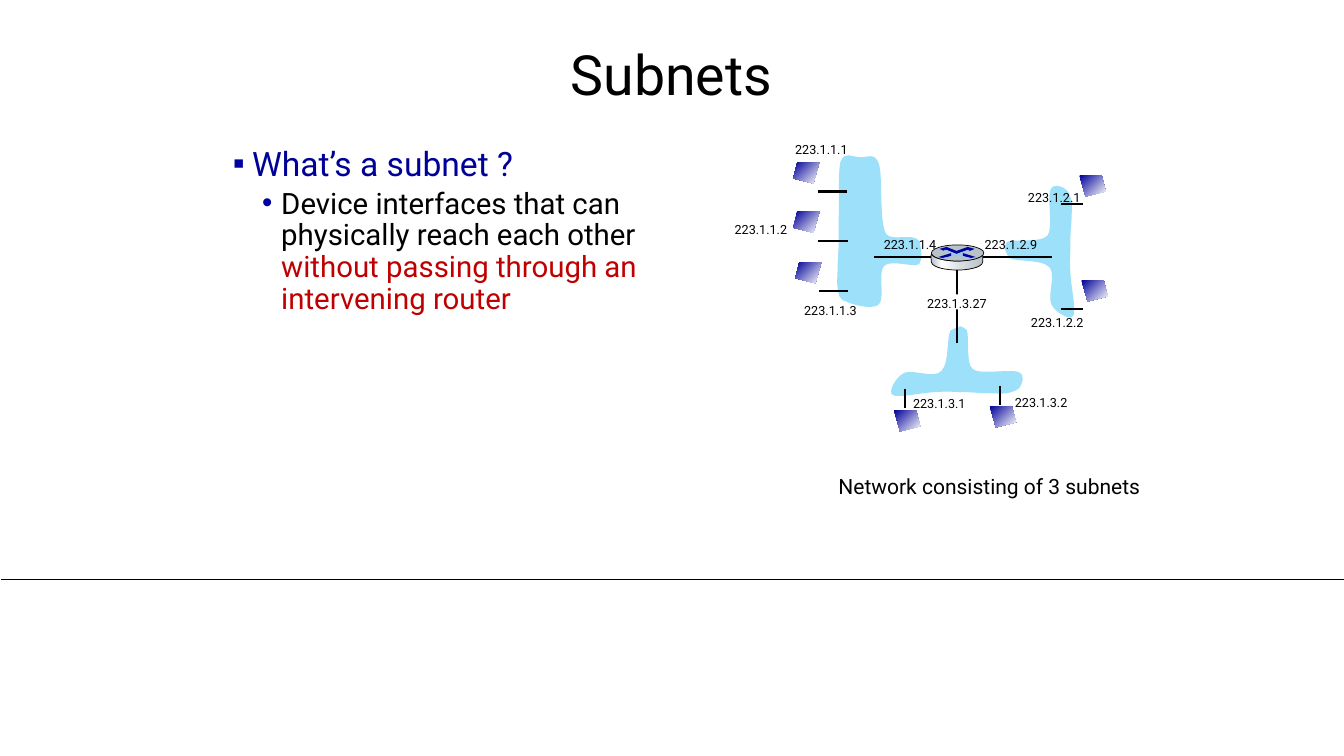
import dataclasses

import lxml.etree
import pptx
import pptx.dml.color
import pptx.enum.shapes
import pptx.enum.text
import pptx.oxml.ns
import pptx.util

qn = pptx.oxml.ns.qn
PX = 9144
ALIGN = pptx.enum.text.PP_ALIGN
SHAPE = pptx.enum.shapes.MSO_SHAPE


@dataclasses.dataclass(frozen=True)
class Theme:
    font: str = "Roboto"
    bullet_font: str = "Arial"
    ink: str = "000000"
    paper: str = "FFFFFF"
    cloud: str = "9CE0FA"
    heading: str = "000099"
    accent: str = "C00000"
    arrow: str = "0000A3"
    arrow_edge: str = "9DC3E6"
    metal: str = "B8C2C9"
    metal_mid: str = "D6DCE0"
    title: float = 39.6
    topic: float = 24
    detail: float = 21
    caption: float = 15
    address: float = 9
    wire: float = 1.5
    hairline: float = 0.5


def rgb(color):
    return pptx.dml.color.RGBColor.from_string(color)


def add_span(para, text, *, font, size, color):
    span = para.add_run()
    span.text = text
    span.font.name = font
    span.font.size = pptx.util.Pt(size)
    span.font.color.rgb = rgb(color)


def bend(shape, segments):
    lines = list(shape.element.iter(qn("a:lnTo")))
    for line, segment in zip(lines, segments):
        if len(segment) == 2:
            continue
        curve = lxml.etree.Element(qn("a:cubicBezTo"))
        for x, y in zip(segment[::2], segment[1::2]):
            lxml.etree.SubElement(curve, qn("a:pt"), x=str(x * PX - shape.left),
                                  y=str(y * PX - shape.top))
        line.getparent().replace(line, curve)


class Painter:
    def __init__(self, page, theme):
        self.page = page
        self.theme = theme

    def finish(self, shape, fill, line=None):
        shape.shadow.inherit = False
        if isinstance(fill, str):
            shape.fill.solid()
            shape.fill.fore_color.rgb = rgb(fill)
        else:
            angle, stops = fill
            shape.fill.gradient()
            shape.fill.gradient_angle = -angle % 360
            stop_list = shape.element.spPr.find(".//" + qn("a:gsLst"))
            for stop in list(stop_list):
                stop_list.remove(stop)
            for position, color in stops:
                stop = lxml.etree.SubElement(stop_list, qn("a:gs"), pos=str(position * 1000))
                lxml.etree.SubElement(stop, qn("a:srgbClr"), val=color)
        if line:
            shape.line.color.rgb = rgb(line)
            shape.line.width = pptx.util.Pt(self.theme.hairline)
        else:
            shape.line.fill.background()

    def shape(self, kind, left, top, width, height, fill, line=None):
        shape = self.page.shapes.add_shape(kind, left * PX, top * PX, width * PX, height * PX)
        self.finish(shape, fill, line)

    def outline(self, start, segments, fill, line=None):
        builder = self.page.shapes.build_freeform(*start, scale=PX)
        builder.add_line_segments([segment[-2:] for segment in segments], close=True)
        shape = builder.convert_to_shape()
        if any(len(segment) > 2 for segment in segments):
            self.rescale(shape)
            bend(shape, segments)
        self.finish(shape, fill, line)

    def rescale(self, shape):
        for point in shape.element.iter(qn("a:pt")):
            for axis in "xy":
                point.set(axis, str(int(point.get(axis)) * PX))
        frame = next(shape.element.iter(qn("a:path")))
        frame.set("w", str(shape.width))
        frame.set("h", str(shape.height))

    def line(self, x1, y1, x2, y2, width=None):
        straight = pptx.enum.shapes.MSO_CONNECTOR.STRAIGHT
        line = self.page.shapes.add_connector(straight, x1 * PX, y1 * PX, x2 * PX, y2 * PX)
        line.line.color.rgb = rgb(self.theme.ink)
        line.line.width = pptx.util.Pt(width or self.theme.wire)
        lxml.etree.SubElement(line.element.spPr, qn("a:effectLst"))

    def box(self, left, top, width, height):
        return self.page.shapes.add_textbox(left * PX, top * PX, width * PX, height * PX).text_frame

    def label(self, text, left, top, width=73, height=25, size=None):
        frame = self.box(left, top, width, height)
        frame.word_wrap = False
        frame.auto_size = pptx.enum.text.MSO_AUTO_SIZE.SHAPE_TO_FIT_TEXT
        add_span(frame.paragraphs[0], text, font=self.theme.font,
                 size=size or self.theme.address, color=self.theme.ink)

    def title(self, text, left, top, width, height):
        frame = self.box(left, top, width, height)
        frame.word_wrap = True
        frame.vertical_anchor = pptx.enum.text.MSO_ANCHOR.MIDDLE
        para = frame.paragraphs[0]
        para.alignment = ALIGN.CENTER
        para.line_spacing = 0.9
        add_span(para, text, font=self.theme.font, size=self.theme.title, color=self.theme.ink)

    def bullets(self, items, left, top, width, height):
        frame = self.box(left, top, width, height)
        frame.word_wrap = True
        frame.margin_left = frame.margin_right = 7 * PX
        frame.margin_top = frame.margin_bottom = 4 * PX
        for level, (mark, indent, size, spans) in enumerate(items):
            para = frame.add_paragraph() if level else frame.paragraphs[0]
            para.level = level
            para.line_spacing = 0.9
            if level:
                para.space_before = pptx.util.Pt(3.8)
            props = para._p.get_or_add_pPr()
            props.set("marL", str(indent * PX))
            props.set("indent", str(-19 * PX))
            color = lxml.etree.SubElement(props, qn("a:buClr"))
            lxml.etree.SubElement(color, qn("a:srgbClr"), val=self.theme.arrow)
            lxml.etree.SubElement(props, qn("a:buFont"), typeface=self.theme.bullet_font)
            lxml.etree.SubElement(props, qn("a:buChar"), char=mark)
            for text, ink in spans:
                add_span(para, text, font=self.theme.font, size=size, color=ink)

    def device(self, left, top, mirrored=False):
        corners = [(0, 0), (22, 0), (26, 16), (6, 21)]
        points = [(left + (26 - x if mirrored else x), top + y) for x, y in corners]
        self.outline(points[0], points[1:],
                     (45, [(0, self.theme.heading), (100, self.theme.paper)]))

    def router(self):
        theme = self.theme
        sheen = (0, [(0, theme.metal), (21, theme.paper), (60, theme.metal_mid), (100, theme.metal)])
        self.outline((975, 252), [
            (975, 260), (974, 266, 958, 268, 950, 268), (941, 268, 925, 266, 924, 260),
            (924, 258, 923, 254, 924, 252), (926, 257, 941, 259, 949, 259),
            (958, 259, 973, 257, 975, 252)], sheen, theme.ink)
        self.shape(SHAPE.OVAL, 924, 243, 52, 16, theme.metal, theme.ink)
        self.outline((960, 245), [
            (967, 247), (962, 249), (960, 248), (949, 252), (939, 248),
            (937, 249), (932, 247), (939, 245), (949, 249)], theme.arrow)
        self.outline((955, 251), [(968, 255), (963, 256), (955, 254)], theme.arrow)
        self.outline((944, 251), [(944, 254), (935, 256), (931, 255)], theme.arrow)
        self.outline((937, 248), [
            (939, 248), (949, 252), (960, 248), (962, 248), (955, 251), (955, 254),
            (963, 256), (961, 257), (949, 253), (938, 257), (936, 256), (944, 254),
            (944, 253, 944, 252, 944, 251), (937, 249),
            (936, 248, 937, 249, 937, 248)], theme.arrow_edge)


CLOUDS = [
    ((943, 328), [
        (939, 335, 942, 360, 934, 368), (927, 376, 906, 366, 897, 370),
        (889, 374, 880, 389, 886, 392), (891, 395, 918, 389, 929, 389),
        (941, 388, 947, 389, 955, 389), (963, 389, 971, 390, 978, 390),
        (985, 390, 994, 391, 999, 390), (1005, 389, 1010, 387, 1012, 384),
        (1014, 380, 1018, 372, 1010, 369), (1002, 366, 971, 372, 965, 366),
        (958, 361, 962, 332, 959, 327), (952, 323, 955, 322, 943, 328)]),
    ((1001, 256), [
        (1008, 260, 1033, 257, 1041, 265), (1048, 272, 1039, 293, 1043, 302),
        (1047, 310, 1062, 319, 1065, 313), (1068, 308, 1062, 281, 1062, 270),
        (1061, 258, 1062, 252, 1062, 244), (1062, 236, 1062, 228, 1063, 221),
        (1063, 214, 1064, 205, 1063, 200), (1062, 194, 1060, 189, 1056, 187),
        (1053, 185, 1045, 181, 1042, 189), (1039, 197, 1045, 228, 1039, 234),
        (1033, 241, 1005, 237, 999, 240), (996, 247, 995, 244, 1001, 256)]),
    ((913, 243), [
        (912, 228, 885, 241, 879, 232), (872, 219, 876, 175, 872, 163),
        (868, 150, 859, 157, 853, 156), (847, 156, 838, 150, 834, 160),
        (831, 170, 833, 203, 832, 217), (832, 230, 832, 234, 832, 242),
        (832, 250, 831, 258, 831, 265), (831, 272, 830, 281, 831, 286),
        (832, 292, 832, 297, 839, 299), (845, 302, 865, 308, 872, 302),
        (878, 296, 871, 270, 877, 264), (884, 257, 906, 266, 912, 262),
        (914, 256, 915, 257, 913, 243)]),
]
ADDRESSES = [
    ("223.1.1.1", 779, 136), ("223.1.1.2", 719, 215), ("223.1.1.3", 788, 296),
    ("223.1.1.4", 867, 230), ("223.1.2.9", 967, 230), ("223.1.2.2", 1013, 307),
    ("223.1.2.1", 1010, 183), ("223.1.3.2", 997, 387), ("223.1.3.1", 896, 388)]
LEFT_DEVICES = [(787, 161), (787, 210), (789, 260)]
OTHER_DEVICES = [(1071, 174), (1073, 278), (982, 403), (887, 407)]
TICKS = [
    (812, 190, 840, 190), (812, 239, 841, 239), (813, 289, 841, 289),
    (1053, 202, 1074, 202), (1053, 307, 1074, 307),
    (898, 386, 898, 405), (992, 383, 992, 402)]
ROUTER_LINKS = [(867, 255, 932, 255), (964, 255, 1044, 255)]


def main():
    deck = pptx.Presentation()
    deck.slide_width, deck.slide_height = pptx.util.Pt(960), pptx.util.Pt(540)
    theme = Theme()
    painter = Painter(deck.slides.add_slide(deck.slide_layouts[6]), theme)
    painter.line(1, 575, 1333, 575, theme.hairline)
    painter.title("Subnets", 235, 40, 862, 73)
    for start, segments in CLOUDS:
        painter.outline(start, segments, theme.cloud)
    painter.shape(SHAPE.RECTANGLE, 726, 221, 68, 15, theme.paper)
    for address in ADDRESSES:
        painter.label(*address)
    painter.line(949, 267, 949, 340)
    painter.shape(SHAPE.RECTANGLE, 915, 292, 70, 15, theme.paper)
    painter.label("223.1.3.27", 910, 289, width=80)
    for place in LEFT_DEVICES:
        painter.device(*place, mirrored=True)
    for place in OTHER_DEVICES:
        painter.device(*place)
    for tick in TICKS:
        painter.line(*tick)
    painter.bullets([
        ("▪", 19, theme.topic, [("What’s a subnet ?", theme.heading)]),
        ("•", 48, theme.detail, [
            ("Device interfaces that can physically reach each other ", theme.ink),
            ("without passing through an intervening router", theme.accent)]),
    ], 224, 142, 452, 182)
    for link in ROUTER_LINKS:
        painter.line(*link)
    painter.router()
    painter.label("Network consisting of 3 subnets", 822, 465, 321, 35, theme.caption)
    deck.save("out.pptx")


if __name__ == "__main__":
    main()
